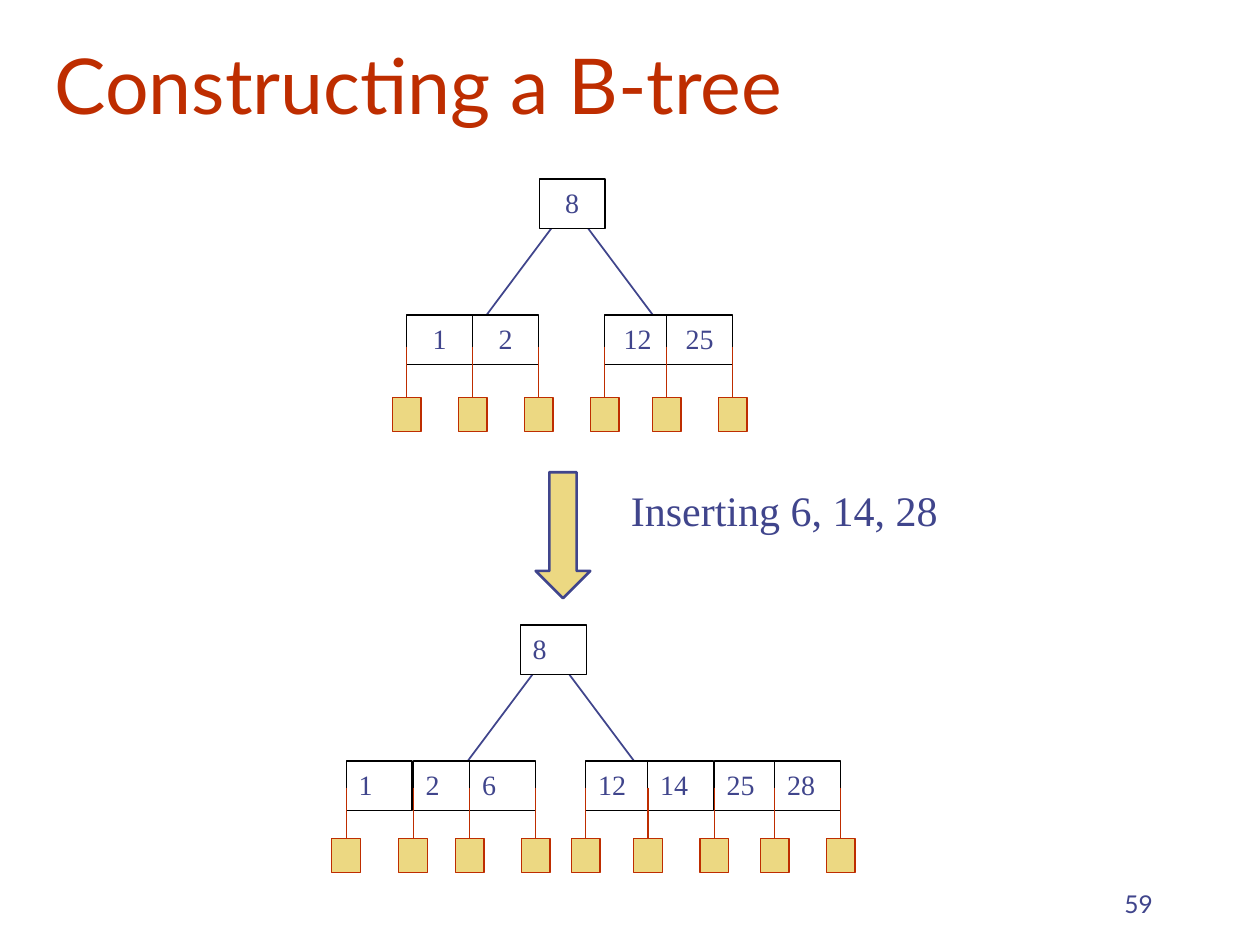
"""Builds the slide showing a B-tree before and after three insertions."""
from dataclasses import dataclass

from lxml import etree
from pptx import Presentation
from pptx.dml.color import RGBColor
from pptx.enum.shapes import MSO_CONNECTOR, MSO_SHAPE
from pptx.enum.text import MSO_ANCHOR, PP_ALIGN
from pptx.oxml.ns import qn
from pptx.util import Cm, Pt

RECTANGLE, DOWN_ARROW = MSO_SHAPE.RECTANGLE, MSO_SHAPE.DOWN_ARROW
STRAIGHT = MSO_CONNECTOR.STRAIGHT
LEFT, CENTER, RIGHT = PP_ALIGN.LEFT, PP_ALIGN.CENTER, PP_ALIGN.RIGHT
TOP, BOTTOM = MSO_ANCHOR.TOP, MSO_ANCHOR.BOTTOM


@dataclass(frozen=True)
class Theme:
    ink: RGBColor = RGBColor.from_string("40458C")
    accent: RGBColor = RGBColor.from_string("BE2D00")
    gold: RGBColor = RGBColor.from_string("ECD882")
    paper: RGBColor = RGBColor.from_string("FFFFFF")
    border: RGBColor = RGBColor.from_string("000000")
    heading_font: str = "Lato"
    body_font: str = "Times New Roman"
    title_size: float = 44
    caption_size: float = 24
    key_size: float = 16
    number_size: float = 14
    thin: float = 0.75
    edge: float = 1
    thick: float = 1.5


@dataclass(frozen=True)
class Box:
    left: float
    top: float
    width: float
    height: float

    def lengths(self) -> tuple:
        return Cm(self.left), Cm(self.top), Cm(self.width), Cm(self.height)


@dataclass(frozen=True)
class Key:
    left: float
    label: str


@dataclass(frozen=True)
class Tree:
    root: Key
    top: float
    children: tuple[tuple[Key, ...], ...]
    pointer_top: float
    align: PP_ALIGN


THEME = Theme()
KEY_WIDTH, KEY_HEIGHT = 1.33, 1
CHILD_DROP = 2.74
EDGE_DROP, EDGE_RUN, EDGE_RISE = 0.64, 1.9, 2.54
EDGE_STARTS = ((0.51, -EDGE_RUN), (0.72, EDGE_RUN))
POINTER_LENGTH, LEAF_WIDTH, LEAF_HEIGHT = 1.02, 0.58, 0.69

TREES = (
    Tree(Key(10.87, "8"), 3.61,
         ((Key(8.2, "1"), Key(9.53, "2")),
          (Key(12.19, "12"), Key(13.44, "25"))),
         6.99, CENTER),
    Tree(Key(10.49, "8"), 12.6,
         ((Key(6.98, "1"), Key(8.33, "2"), Key(9.47, "6")),
          (Key(11.81, "12"), Key(13.06, "14"), Key(14.4, "25"), Key(15.62, "28"))),
         15.88, LEFT),
)


def write(holder, text: str, font: str, size: float, color: RGBColor,
          align: PP_ALIGN = LEFT, anchor: MSO_ANCHOR = TOP) -> None:
    """Put one styled paragraph into a shape or text box."""
    frame = holder.text_frame
    frame.word_wrap = True
    frame.vertical_anchor = anchor
    paragraph = frame.paragraphs[0]
    paragraph.text = text
    paragraph.alignment = align
    paragraph.font.name = font
    paragraph.font.size = Pt(size)
    paragraph.font.color.rgb = color


def add_block(slide, kind: MSO_SHAPE, box: Box, fill: RGBColor,
              outline: RGBColor, weight: float):
    """Add a filled, outlined shape without shadow."""
    block = slide.shapes.add_shape(kind, *box.lengths())
    block.shadow.inherit = False
    block.fill.solid()
    block.fill.fore_color.rgb = fill
    block.line.color.rgb = outline
    block.line.width = Pt(weight)
    return block


def add_line(slide, start: tuple[float, float], end: tuple[float, float],
             color: RGBColor, weight: float) -> None:
    """Add a straight connector without shadow."""
    line = slide.shapes.add_connector(
        STRAIGHT, *(Cm(value) for value in (*start, *end)))
    line.line.color.rgb = color
    line.line.width = Pt(weight)
    etree.SubElement(line._element.spPr, qn("a:effectLst"))


def add_key(slide, key: Key, top: float, align: PP_ALIGN) -> None:
    """Add one key cell of a node."""
    cell = add_block(slide, RECTANGLE, Box(key.left, top, KEY_WIDTH, KEY_HEIGHT),
                     THEME.paper, THEME.border, THEME.thin)
    write(cell, key.label, THEME.body_font, THEME.key_size, THEME.ink, align)


def add_pointer(slide, x: float, top: float) -> None:
    """Add a pointer line ending in an empty leaf."""
    leaf_top = top + POINTER_LENGTH
    add_block(slide, RECTANGLE,
              Box(x - LEAF_WIDTH / 2, leaf_top, LEAF_WIDTH, LEAF_HEIGHT),
              THEME.gold, THEME.accent, THEME.thin)
    add_line(slide, (x, top), (x, leaf_top), THEME.accent, THEME.thin)


def add_tree(slide, tree: Tree) -> None:
    """Add the edges, nodes and pointers of one tree."""
    edge_top = tree.top + EDGE_DROP
    for offset, run in EDGE_STARTS:
        x = tree.root.left + offset
        add_line(slide, (x, edge_top), (x + run, edge_top + EDGE_RISE),
                 THEME.ink, THEME.edge)
    add_key(slide, tree.root, tree.top, tree.align)
    for node in tree.children:
        for key in node:
            add_key(slide, key, tree.top + CHILD_DROP, tree.align)
    for node in tree.children:
        for x in (*(key.left for key in node), node[-1].left + KEY_WIDTH):
            add_pointer(slide, x, tree.pointer_top)


def add_label(slide, box: Box, text: str, font: str, size: float, color: RGBColor,
              align: PP_ALIGN = LEFT, anchor: MSO_ANCHOR = TOP) -> None:
    """Add a text box."""
    write(slide.shapes.add_textbox(*box.lengths()), text, font, size, color,
          align, anchor)


def main() -> None:
    """Build and save the slide."""
    deck = Presentation()
    deck.slide_width, deck.slide_height = Cm(25.4), Cm(19.05)
    slide = deck.slides.add_slide(deck.slide_layouts[6])
    add_label(slide, Box(0.85, 0.42, 24.13, 2.33), "Constructing a B-tree",
              THEME.heading_font, THEME.title_size, THEME.accent, anchor=BOTTOM)
    add_label(slide, Box(18.2, 17.36, 5.29, 1.27), "59",
              THEME.heading_font, THEME.number_size, THEME.ink, RIGHT, BOTTOM)
    for tree in TREES:
        add_tree(slide, tree)
    add_label(slide, Box(12.47, 9.65, 11.22, 1.27), "Inserting 6, 14, 28",
              THEME.body_font, THEME.caption_size, THEME.ink)
    add_block(slide, DOWN_ARROW, Box(10.8, 9.52, 1.1, 2.54),
              THEME.gold, THEME.ink, THEME.thick)
    deck.save("out.pptx")


if __name__ == "__main__":
    main()
